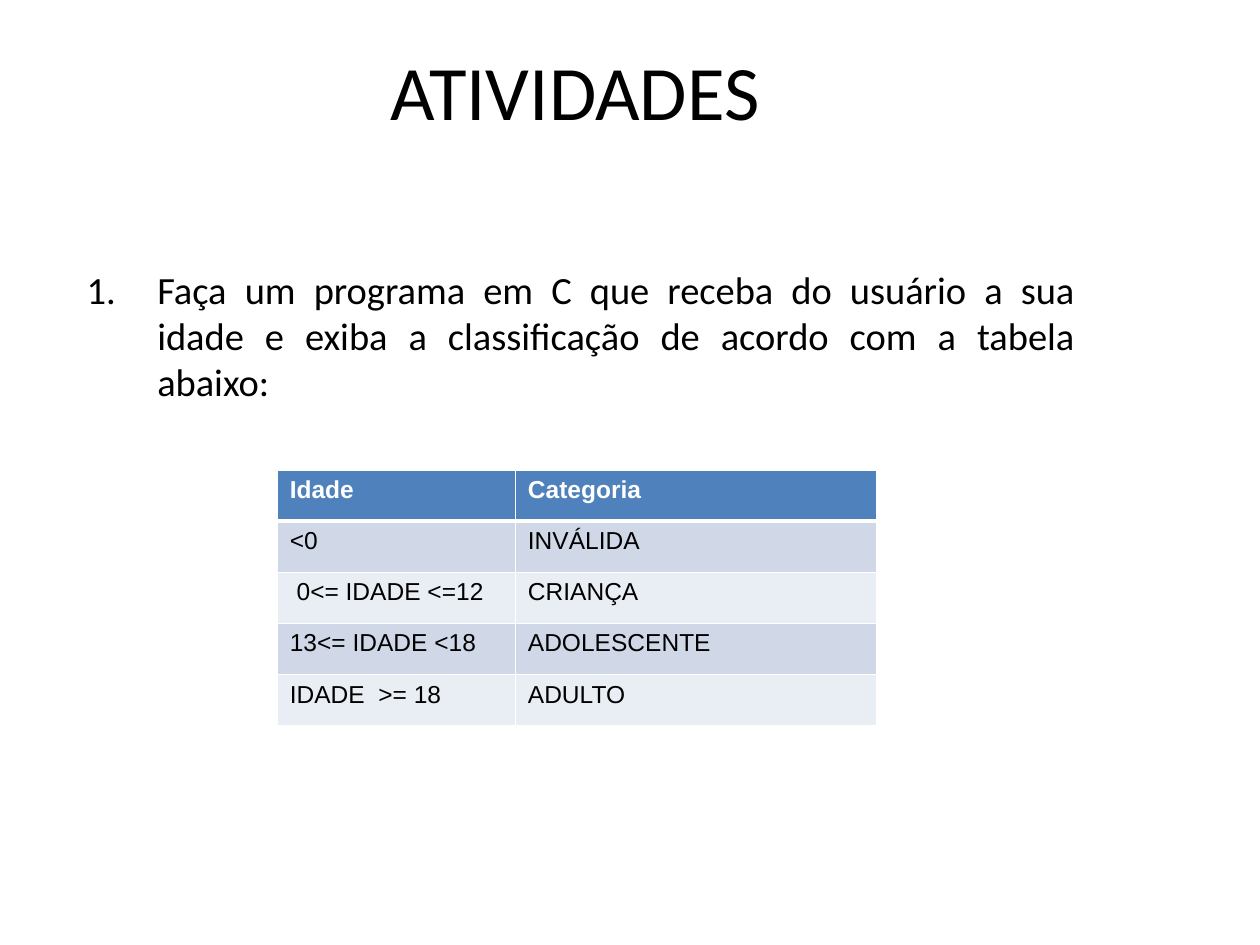
"""Build the ATIVIDADES slide with a numbered task and its age table."""
from lxml import etree
from pptx import Presentation
from pptx.dml.color import RGBColor
from pptx.enum.text import MSO_ANCHOR, PP_ALIGN
from pptx.oxml.ns import qn
from pptx.util import Inches, Pt

CENTER, JUSTIFY, LEFT = PP_ALIGN.CENTER, PP_ALIGN.JUSTIFY, PP_ALIGN.LEFT
TOP = MSO_ANCHOR.TOP

TITLE = "ATIVIDADES"
TASK = ("Faça um programa em C que receba do usuário a sua idade e exiba "
        "a classificação de acordo com a tabela abaixo:")
ROWS = [
    ("Idade", "Categoria"),
    ("<0", "INVÁLIDA"),
    (" 0<= IDADE <=12", "CRIANÇA"),
    ("13<= IDADE <18", "ADOLESCENTE"),
    ("IDADE  >= 18", "ADULTO"),
]
TEXT_LEFT, TEXT_WIDTH = 0.5, 8.13
COLUMN_WIDTHS = (1.89, 2.87)
TABLE_LEFT, TABLE_TOP, TABLE_HEIGHT = 2.2, 3.73, 2.03
BLACK, WHITE, HEADER = "000000", "FFFFFF", "4F81BD"
BANDS = ("E9EDF4", "D0D8E8")


def color(hex_value):
    return RGBColor.from_string(hex_value)


def write(paragraph, text, size, font, hex_value, alignment, bold=False):
    paragraph.alignment = alignment
    run = paragraph.add_run()
    run.text = text
    run.font.size = Pt(size)
    run.font.name = font
    run.font.bold = bold
    run.font.color.rgb = color(hex_value)


def add_text(slide, top, height, text, size, alignment):
    box = (TEXT_LEFT, top, TEXT_WIDTH, height)
    shape = slide.shapes.add_textbox(*map(Inches, box))
    frame = shape.text_frame
    frame.word_wrap = True
    frame.vertical_anchor = TOP
    paragraph = frame.paragraphs[0]
    write(paragraph, text, size, "Calibri", BLACK, alignment)
    return paragraph


def number(paragraph, margin, indent):
    properties = paragraph._p.get_or_add_pPr()
    properties.set("marL", str(Inches(margin)))
    properties.set("indent", str(Inches(indent)))
    etree.SubElement(properties, qn("a:buFont"), typeface="+mj-lt")
    etree.SubElement(properties, qn("a:buAutoNum"), type="arabicPeriod")


def add_border(cell, side, width):
    line = etree.SubElement(cell._tc.get_or_add_tcPr(), qn(f"a:ln{side}"), w=str(Pt(width)))
    fill = etree.SubElement(line, qn("a:solidFill"))
    etree.SubElement(fill, qn("a:srgbClr"), val=WHITE)


def add_age_table(slide):
    frame = slide.shapes.add_table(
        len(ROWS), len(COLUMN_WIDTHS), Inches(TABLE_LEFT), Inches(TABLE_TOP),
        Inches(sum(COLUMN_WIDTHS)), Inches(TABLE_HEIGHT))
    table = frame.table
    for column, width in zip(table.columns, COLUMN_WIDTHS):
        column.width = Inches(width)
    for row_index, values in enumerate(ROWS):
        table.rows[row_index].height = Inches(TABLE_HEIGHT / len(ROWS))
        is_header = row_index == 0
        widths = {"L": 1, "R": 1, "T": 3 if row_index == 1 else 1, "B": 3 if is_header else 1}
        for column_index, value in enumerate(values):
            cell = table.cell(row_index, column_index)
            for side, width in widths.items():
                add_border(cell, side, width)
            cell.fill.solid()
            cell.fill.fore_color.rgb = color(HEADER if is_header else BANDS[row_index % 2])
            write(cell.text_frame.paragraphs[0], value, 14, "Arial",
                  WHITE if is_header else BLACK, LEFT, is_header)


def main():
    presentation = Presentation()
    presentation.slide_width, presentation.slide_height = Inches(10), Inches(7.5)
    slide = presentation.slides.add_slide(presentation.slide_layouts[6])
    add_text(slide, 0.3, 1.25, TITLE, 44, CENTER)
    task = add_text(slide, 2.06, 4.48, TASK, 22, JUSTIFY)
    number(task, 0.65, -0.56)
    add_age_table(slide)
    presentation.save("out.pptx")


if __name__ == "__main__":
    main()
